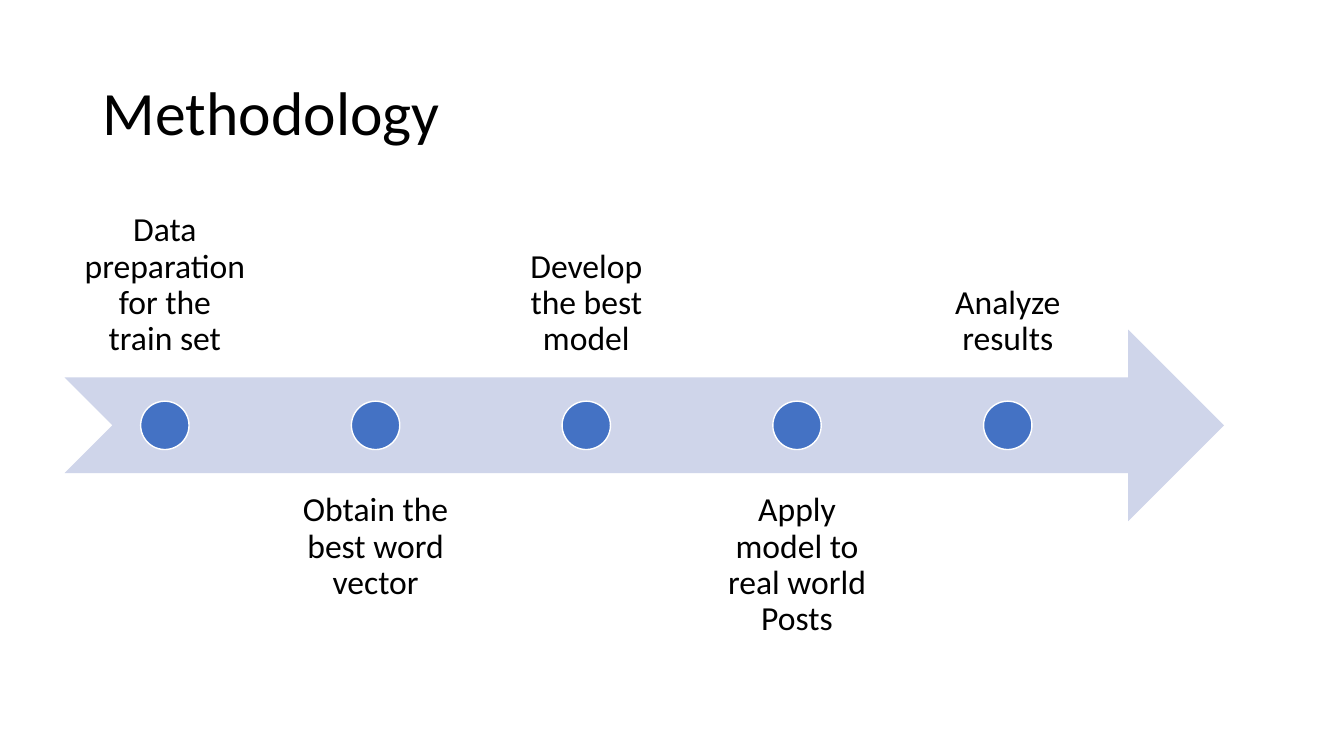
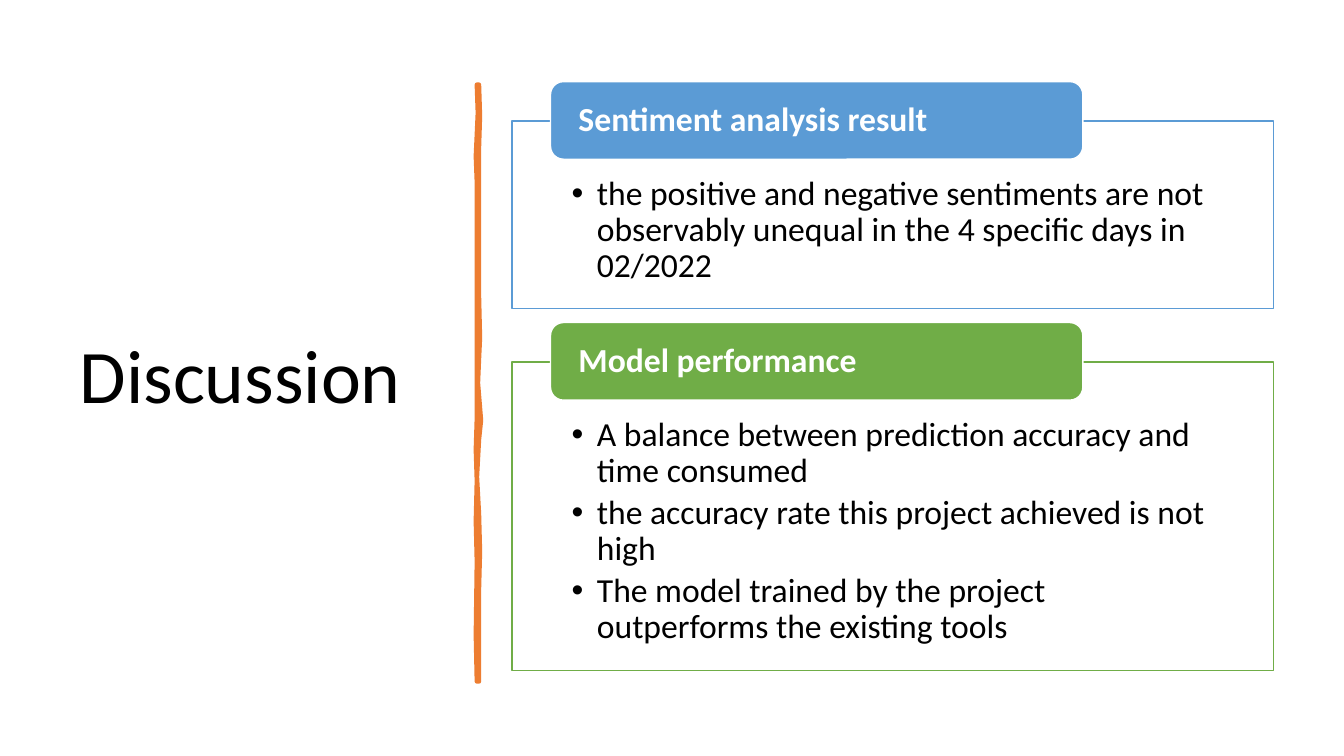
from lxml.etree import SubElement
from pptx import Presentation
from pptx.dml.color import RGBColor
from pptx.enum.shapes import MSO_SHAPE as Shape
from pptx.enum.text import MSO_ANCHOR as Anchor, MSO_AUTO_SIZE as AutoSize, PP_ALIGN as Align
from pptx.oxml.ns import qn
from pptx.util import Inches, Pt

COLORS = {
    "text": "000000",
    "white": "FFFFFF",
    "arrow": "CFD5EA",
    "dot": "4472C4",
    "stroke": "ED7D31",
    "result": "5B9BD5",
    "performance": "70AD47",
}
TITLE_ONLY, TWO_CONTENT = 5, 3

STEPS = [
    "Data preparation for the train set",
    "Obtain the best word vector",
    "Develop the best model",
    "Apply model to real world Posts",
    "Analyze results",
]
FINDINGS = [
    ("Sentiment analysis result", "result", 1.86, [
        "the positive and negative sentiments are not observably unequal "
        "in the 4 specific days in 02/2022",
    ]),
    ("Model performance", "performance", 3.06, [
        "A balance between prediction accuracy and time consumed",
        "the accuracy rate this project achieved is not high",
        "The model trained by the project outperforms the existing tools",
    ]),
]
STROKE_OUTLINE = [
    (475, 84), (476, 115), (475, 146), (475, 294), (476, 335), (475, 356),
    (474, 380), (477, 417), (475, 436), (473, 473), (475, 510), (476, 547),
    (475, 584), (475, 676), (473, 676), (472, 630), (473, 557), (472, 517),
    (473, 477), (472, 446), (473, 415), (473, 181), (472, 155), (474, 112),
    (473, 84),
]


class Deck:
    font = "Calibri"
    text_size = 24

    def __init__(self):
        self.prs = Presentation()
        self.prs.slide_width, self.prs.slide_height = Inches(13.33), Inches(7.5)
        self.slide = None

    def color(self, key):
        return RGBColor.from_string(COLORS[key])

    def new_slide(self, layout):
        self.slide = self.prs.slides.add_slide(self.prs.slide_layouts[layout])

    def place(self, item, left, top, width, height):
        item.left, item.top = Inches(left), Inches(top)
        item.width, item.height = Inches(width), Inches(height)

    def paint(self, item, fill, line=None, weight=1):
        item.fill.solid()
        item.fill.fore_color.rgb = self.color(fill)
        if line:
            item.line.color.rgb = self.color(line)
            item.line.width = Pt(weight)
        else:
            item.line.fill.background()
        item.shadow.inherit = False

    def set_text(self, item, lines, size=text_size, color="text", bold=False,
                 align=Align.LEFT, anchor=Anchor.TOP, insets=(0.1, 0.05, 0.1, 0.05),
                 bullets=False, space_after=0):
        frame = item.text_frame
        frame.word_wrap = True
        frame.auto_size = AutoSize.NONE
        frame.vertical_anchor = anchor
        (frame.margin_left, frame.margin_top,
         frame.margin_right, frame.margin_bottom) = map(Inches, insets)
        frame.text = "\n".join(lines)
        for paragraph in frame.paragraphs:
            if bullets:
                props = paragraph._p.get_or_add_pPr()
                props.set("marL", str(Inches(0.25)))
                props.set("indent", str(-Inches(0.25)))
                SubElement(props, qn("a:buChar")).set("char", "•")
            paragraph.alignment = align
            paragraph.line_spacing = 0.9
            paragraph.space_before = Pt(0)
            paragraph.space_after = Pt(space_after)
            paragraph.font.name = self.font
            paragraph.font.size = Pt(size)
            paragraph.font.bold = bold
            paragraph.font.color.rgb = self.color(color)

    def title(self, text, box, size):
        heading = self.slide.shapes.title
        self.place(heading, *box)
        self.set_text(heading, [text], size=size, anchor=Anchor.MIDDLE)

    def shape(self, kind, box, fill, line=None):
        item = self.slide.shapes.add_shape(kind, *map(Inches, box))
        self.paint(item, fill, line)
        return item

    def label(self, text, box, anchor):
        caption = self.slide.shapes.add_textbox(*map(Inches, box))
        self.set_text(caption, [text], align=Align.CENTER, anchor=anchor, insets=(0.19,) * 4)

    def brush_stroke(self, outline, color):
        builder = self.slide.shapes.build_freeform(*outline[0], scale=Inches(0.01))
        builder.add_line_segments(outline[1:], close=True)
        self.paint(builder.convert_to_shape(), color, color, 3.25)

    def framed_list(self, index, box, color, lines):
        frame = self.slide.placeholders[index]
        self.place(frame, *box)
        self.paint(frame, "white", color)
        self.set_text(frame, lines, insets=(0.59, 0.55, 0.59, 0.19), bullets=True,
                      space_after=4)

    def header(self, text, box, color):
        tab = self.shape(Shape.ROUNDED_RECTANGLE, box, color, "white")
        self.set_text(tab, [text], color="white", bold=True, anchor=Anchor.MIDDLE,
                      insets=(0.24, 0, 0.24, 0))


def methodology(deck):
    left, middle, pitch = 0.64, 4.22, 2.09
    band, label_width, dot = 1.9, 1.99, 0.48
    deck.new_slide(TITLE_ONLY)
    deck.title("Methodology", (0.92, 0.42, 11.5, 1.45), 44)
    deck.shape(Shape.NOTCHED_RIGHT_ARROW, (left, middle - band / 2, 11.5, band), "arrow")
    for number, step in enumerate(STEPS):
        x = left + number * pitch
        above = number % 2 == 0
        top = middle - dot - band if above else middle + dot
        deck.label(step, (x, top, label_width, band), Anchor.BOTTOM if above else Anchor.TOP)
        deck.shape(Shape.OVAL, (x + (label_width - dot) / 2, middle - dot / 2, dot, dot),
                   "dot", "white")


def discussion(deck):
    left, top, width, gap = 5.08, 1.2, 7.55, 0.53
    deck.new_slide(TWO_CONTENT)
    deck.title("Discussion", (0.69, 0.7, 3.74, 6.11), 54)
    deck.brush_stroke(STROKE_OUTLINE, "stroke")
    for index, (heading, color, height, points) in enumerate(FINDINGS, 1):
        deck.framed_list(index, (left, top, width, height), color, points)
        deck.header(heading, (left + 0.38, top - 0.39, 5.28, 0.77), color)
        top += height + gap


def main():
    deck = Deck()
    methodology(deck)
    discussion(deck)
    deck.prs.save("out.pptx")


if __name__ == "__main__":
    main()
